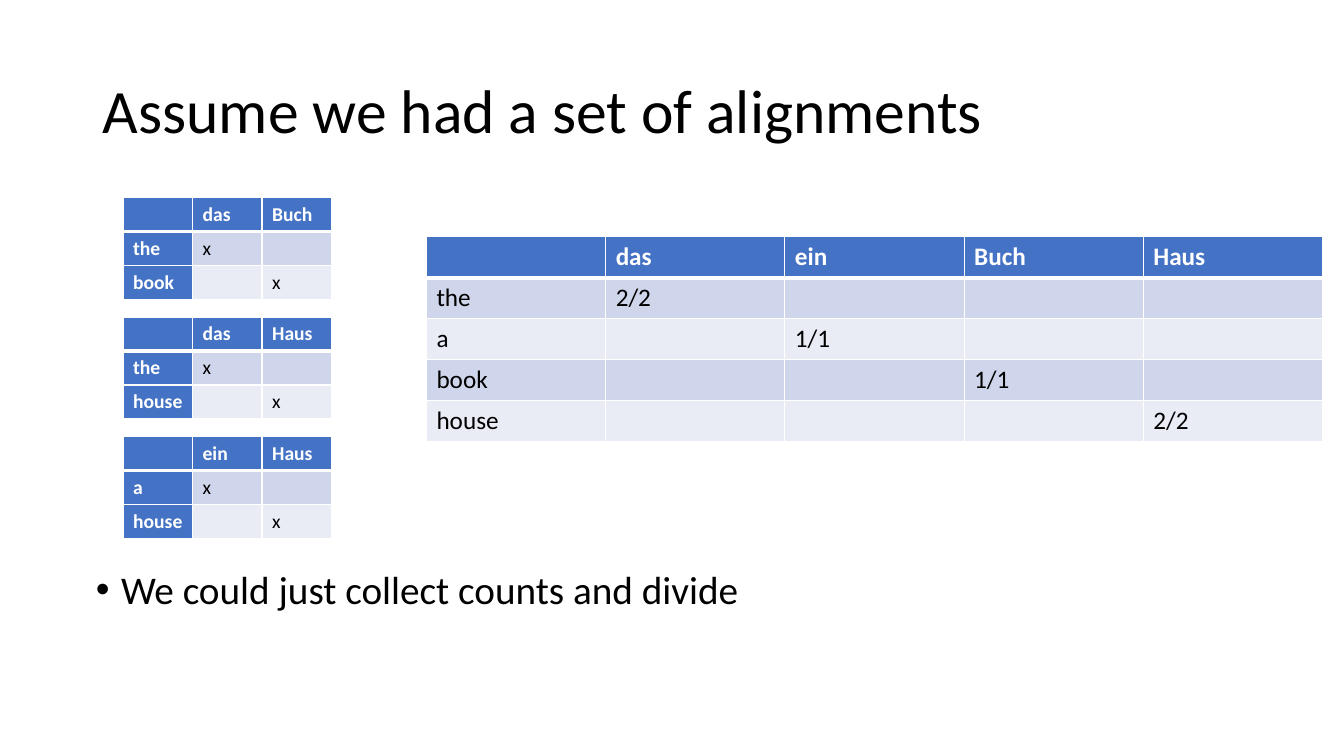
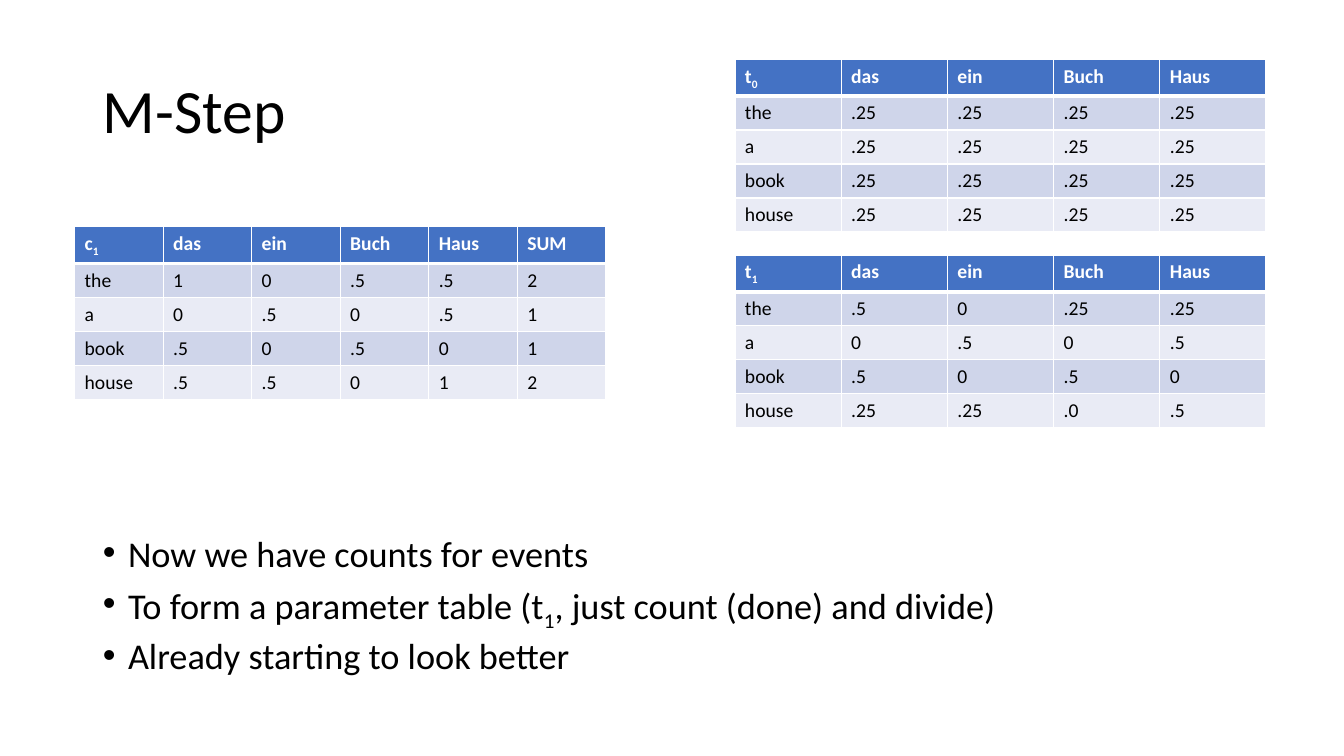
from dataclasses import dataclass

from lxml.etree import SubElement
from pptx import Presentation
from pptx.dml.color import RGBColor as RGB
from pptx.enum.text import MSO_ANCHOR as Anchor, MSO_AUTO_SIZE as AutoSize, PP_ALIGN as Align
from pptx.oxml.ns import qn
from pptx.util import Inches, Pt


@dataclass(frozen=True)
class Theme:
    font: str = "Calibri"
    text: str = "000000"
    light: str = "FFFFFF"
    header: str = "4472C4"
    bands: tuple = ("CFD5EA", "E9EBF5")
    title_size: float = 44
    body_size: float = 28
    dense_size: float = 25.9
    table_size: float = 18
    small_size: float = 14
    rule: float = 1
    header_rule: float = 3


THEME = Theme()
WIDTH, HEIGHT = Inches(13.33), Inches(7.5)
TITLE_BOX = (6.9, 5.33, 86.25, 19.33)
ENGLISH = ("the", "a", "book", "house")
GERMAN = ("das", "ein", "Buch", "Haus")


def across(percent):
    return round(WIDTH * percent / 100)


def down(percent):
    return round(HEIGHT * percent / 100)


def place(sp, box):
    """Position a shape by left, top, width and height in percent of the slide."""
    left, top, width, height = box
    sp.left, sp.top = across(left), down(top)
    sp.width, sp.height = across(width), down(height)


def write(p, text, size, color=THEME.text, bold=False):
    """Fill a paragraph; the letter after an underscore becomes a subscript."""
    base, mark, rest = text.partition("_")
    p.text = base
    if mark:
        p.add_run().text = rest[0]
        p.runs[1].font._element.set("baseline", "-25000")
        if rest[1:]:
            p.add_run().text = rest[1:]
    for r in p.runs:
        r.font.name, r.font.size, r.font.bold = THEME.font, Pt(size), bold
        r.font.color.rgb = RGB.from_string(color)


def add_slide(prs, title):
    s = prs.slides.add_slide(prs.slide_layouts[1])
    sp = s.shapes.title
    place(sp, TITLE_BOX)
    tf = sp.text_frame
    tf.auto_size, tf.vertical_anchor = AutoSize.NONE, Anchor.MIDDLE
    p = tf.paragraphs[0]
    write(p, title, THEME.title_size)
    p.alignment, p.line_spacing = Align.LEFT, 0.9
    return s


def add_bullets(s, box, items, size, line_spacing):
    sp = s.placeholders[1]
    place(sp, box)
    tf = sp.text_frame
    tf.auto_size = AutoSize.NONE
    for i, item in enumerate(items):
        p = tf.add_paragraph() if i else tf.paragraphs[0]
        write(p, item, size)
        p.line_spacing, p.space_before = line_spacing, Pt(10)
        pPr = p._p.get_or_add_pPr()
        pPr.set("marL", str(Inches(0.25)))
        pPr.set("indent", str(-Inches(0.25)))
        SubElement(pPr, qn("a:buFont"), typeface="Arial")
        SubElement(pPr, qn("a:buChar"), char="•")


def add_borders(cell, top, bottom):
    tcPr = cell._tc.get_or_add_tcPr()
    sides = {"L": THEME.rule, "R": THEME.rule, "T": top, "B": bottom}
    for side, points in sides.items():
        ln = SubElement(tcPr, qn(f"a:ln{side}"), w=str(Pt(points)))
        fill = SubElement(ln, qn("a:solidFill"))
        SubElement(fill, qn("a:srgbClr"), val=THEME.light)


def style_cell(cell, text, size, row, is_header):
    p = cell.text_frame.paragraphs[0]
    if text:
        write(p, text, size, THEME.light if is_header else THEME.text, is_header)
    else:
        SubElement(p._p, qn("a:endParaRPr"), sz=str(size * 100))
    add_borders(cell,
                top=THEME.header_rule if row == 1 else THEME.rule,
                bottom=THEME.header_rule if row == 0 else THEME.rule)
    cell.fill.solid()
    color = THEME.header if is_header else THEME.bands[(row - 1) % 2]
    cell.fill.fore_color.rgb = RGB.from_string(color)


def add_grid(s, left, top, width, row_height, rows, size=THEME.small_size, header_column=False):
    """Add a table with a header row, banded body rows and equal columns."""
    n_rows, n_cols = len(rows), len(rows[0])
    frame = s.shapes.add_table(n_rows, n_cols, across(left), down(top),
                               across(width), down(row_height * n_rows))
    table = frame.table
    table.first_col = header_column
    for column in table.columns:
        column.width = across(width / n_cols)
    for i, row in enumerate(rows):
        table.rows[i].height = down(row_height)
        for j, text in enumerate(row):
            is_header = i == 0 or (header_column and j == 0)
            style_cell(table.cell(i, j), text, size, i, is_header)


def diagonal(words, translations, marks):
    """Rows in which each word is marked only under its own translation."""
    body = [[word] + [mark if i == j else "" for j in range(len(translations))]
            for i, (word, mark) in enumerate(zip(words, marks))]
    return [["", *translations], *body]


def parameters(name, values, extra=()):
    """Rows of values for each English word under the German words."""
    body = [[word, *line.split()] for word, line in zip(ENGLISH, values)]
    return [[name, *GERMAN, *extra], *body]


def add_alignments_slide(prs):
    s = add_slide(prs, "Assume we had a set of alignments")
    add_bullets(s, (6.38, 74.8, 86.25, 19.07),
                ["We could just collect counts and divide"], THEME.body_size, 0.9)
    pairs = [(("the", "book"), ("das", "Buch")),
             (("the", "house"), ("das", "Haus")),
             (("a", "house"), ("ein", "Haus"))]
    for i, (words, translations) in enumerate(pairs):
        add_grid(s, 9.15, 26.13 + 15.8 * i, 15.53, 3.47,
                 diagonal(words, translations, "xx"), header_column=True)
    add_grid(s, 31.73, 31.33, 66.68, 5.41,
             diagonal(ENGLISH, GERMAN, ("2/2", "1/1", "1/1", "2/2")), THEME.table_size)


def add_m_step_slide(prs):
    s = add_slide(prs, "M-Step")
    add_bullets(s, (6.9, 70.67, 86.25, 19.6),
                ["Now we have counts for events",
                 "To form a parameter table (t_1, just count (done) and divide)",
                 "Already starting to look better"], THEME.dense_size, 0.8)
    counts = parameters("c_1", ["1 0 .5 .5 2", "0 .5 0 .5 1", ".5 0 .5 0 1", ".5 .5 0 1 2"],
                        extra=["SUM"])
    before = parameters("t_0", [".25 .25 .25 .25"] * len(ENGLISH))
    after = parameters("t_1", [".5 0 .25 .25", "0 .5 0 .5", ".5 0 .5 0", ".25 .25 .0 .5"])
    for left, top, rows in ((5.55, 30, counts), (54.68, 7.87, before), (54.68, 33.73, after)):
        add_grid(s, left, top, 39.52, 3.7, rows)


def main():
    prs = Presentation()
    prs.slide_width, prs.slide_height = WIDTH, HEIGHT
    add_alignments_slide(prs)
    add_m_step_slide(prs)
    prs.save("out.pptx")


if __name__ == "__main__":
    main()
